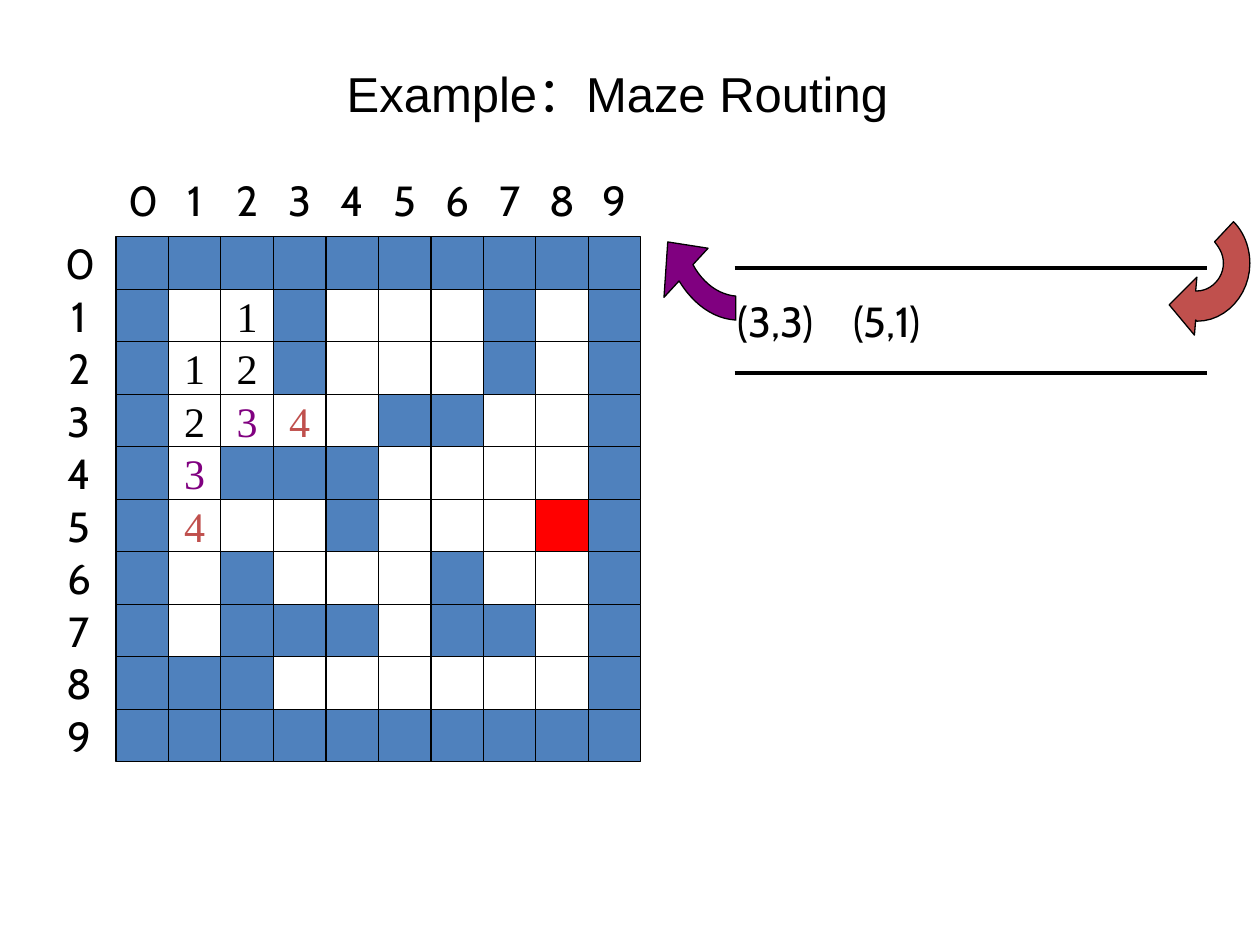
"""Build the maze routing slide: numbered grid, queue and its two arrows."""
from pptx import Presentation
from pptx.dml.color import RGBColor
from pptx.enum.shapes import MSO_CONNECTOR, MSO_SHAPE
from pptx.enum.text import MSO_ANCHOR, PP_ALIGN
from pptx.oxml.ns import qn
from pptx.util import Inches, Pt

RECT = MSO_SHAPE.RECTANGLE
STRAIGHT = MSO_CONNECTOR.STRAIGHT
MIDDLE, TOP = MSO_ANCHOR.MIDDLE, MSO_ANCHOR.TOP
CENTER, LEFT = PP_ALIGN.CENTER, PP_ALIGN.LEFT

COLORS = {"black": "000000", "wall": "4F81BD", "target": "FF0000",
          "purple": "800080", "red": "C0504D"}
RGB = {name: RGBColor.from_string(value) for name, value in COLORS.items()}
STEP_COLORS = {"1": "black", "2": "black", "3": "purple", "4": "red"}
FILLS = {"#": "wall", "T": "target"}

MAZE = ["##########",
        "#.1#...#.#",
        "#12#...#.#",
        "#234.##..#",
        "#3###....#",
        "#4..#...T#",
        "#.#...#..#",
        "#.###.##.#",
        "###......#",
        "##########"]
CELL = 5 / 12
GRID_X, GRID_Y = 0.92, 1.88

DEQUEUE = [(5.5, 2.1), [(5.58, 2.25), (5.71, 2.34), (5.84, 2.35)], (5.84, 2.54),
           [(5.66, 2.53), (5.5, 2.41), (5.39, 2.23)],
           (5.27, 2.36), (5.3, 1.92), (5.62, 1.97)]
ENQUEUE = [(9.49, 2.31), (9.5, 2.31), [(9.61, 2.31), (9.71, 2.21), (9.71, 2.09)],
           [(9.71, 2.02), (9.68, 1.97), (9.64, 1.92)], (9.79, 1.76),
           [(9.87, 1.84), (9.92, 1.96), (9.92, 2.09)],
           [(9.92, 2.34), (9.73, 2.55), (9.5, 2.55)], (9.49, 2.54),
           (9.48, 2.66), (9.28, 2.42), (9.5, 2.2)]


def set_text(sp, text, font="Cabin", size=24, color="black",
             align=CENTER, anchor=MIDDLE, wrap=False):
    """Write one paragraph into a shape."""
    tf = sp.text_frame
    tf.word_wrap = wrap
    tf.vertical_anchor = anchor
    p = tf.paragraphs[0]
    p.text = text
    p.alignment = align
    p.font.name = font
    p.font.size = Pt(size)
    p.font.color.rgb = RGB[color]


def add_arrow(s, outline, color, steps=12):
    """Draw a closed outline of points and cubic curves."""
    points = [outline[0]]
    for part in outline[1:]:
        if isinstance(part, tuple):
            points.append(part)
            continue
        a, (b, c, d) = points[-1], part
        for i in range(1, steps + 1):
            t = i / steps
            u = 1 - t
            points.append(tuple(
                u**3 * a[k] + 3 * u * u * t * b[k] + 3 * u * t * t * c[k] + t**3 * d[k]
                for k in (0, 1)))
    points = [(Inches(x), Inches(y)) for x, y in points]
    builder = s.shapes.build_freeform(*points[0])
    builder.add_line_segments(points[1:], close=True)
    sp = builder.convert_to_shape()
    sp.shadow.inherit = False
    sp.fill.solid()
    sp.fill.fore_color.rgb = RGB[color]
    sp.line.color.rgb = RGB["black"]
    sp.line.width = Pt(0.75)


prs = Presentation()
prs.slide_width, prs.slide_height = Inches(10), Inches(7.5)
s = prs.slides.add_slide(prs.slide_layouts[6])
side = Inches(CELL)

sp = s.shapes.add_textbox(Inches(0.4), Inches(0.11), Inches(9), Inches(1.25))
set_text(sp, "Example：Maze Routing", "Arial", 28, wrap=True)

for row, marks in enumerate(MAZE):
    for col, mark in enumerate(marks):
        sp = s.shapes.add_shape(RECT, Inches(GRID_X + col * CELL),
                                Inches(GRID_Y + row * CELL), side, side)
        sp.shadow.inherit = False
        sp.line.color.rgb = RGB["black"]
        sp.line.width = Pt(0.75)
        if mark in FILLS:
            sp.fill.solid()
            sp.fill.fore_color.rgb = RGB[FILLS[mark]]
        else:
            sp.fill.background()
        if mark in STEP_COLORS:
            set_text(sp, mark, "Times New Roman", color=STEP_COLORS[mark])

for i in range(len(MAZE)):
    for x, y in ((GRID_X + i * CELL, 1.38), (0.42, GRID_Y + i * CELL)):
        sp = s.shapes.add_textbox(Inches(x), Inches(y), side, side)
        set_text(sp, str(i))

for x, entry in ((5.83, "(3,3)"), (6.75, "(5,1)")):
    sp = s.shapes.add_textbox(Inches(x), Inches(2.3), Inches(0.92), Inches(0.5))
    set_text(sp, entry, align=LEFT, anchor=TOP, wrap=True)
    sp.text_frame.margin_left = sp.text_frame.margin_right = Inches(0.02)

for y in (2.13, 2.96):
    line = s.shapes.add_connector(STRAIGHT, Inches(5.83), Inches(y), Inches(9.58), Inches(y))
    line.line.color.rgb = RGB["black"]
    line.line.width = Pt(2.25)
    spPr = line._element.spPr
    spPr.append(spPr.makeelement(qn("a:effectLst"), {}))

add_arrow(s, DEQUEUE, "purple")
add_arrow(s, ENQUEUE, "red")

prs.save("out.pptx")
